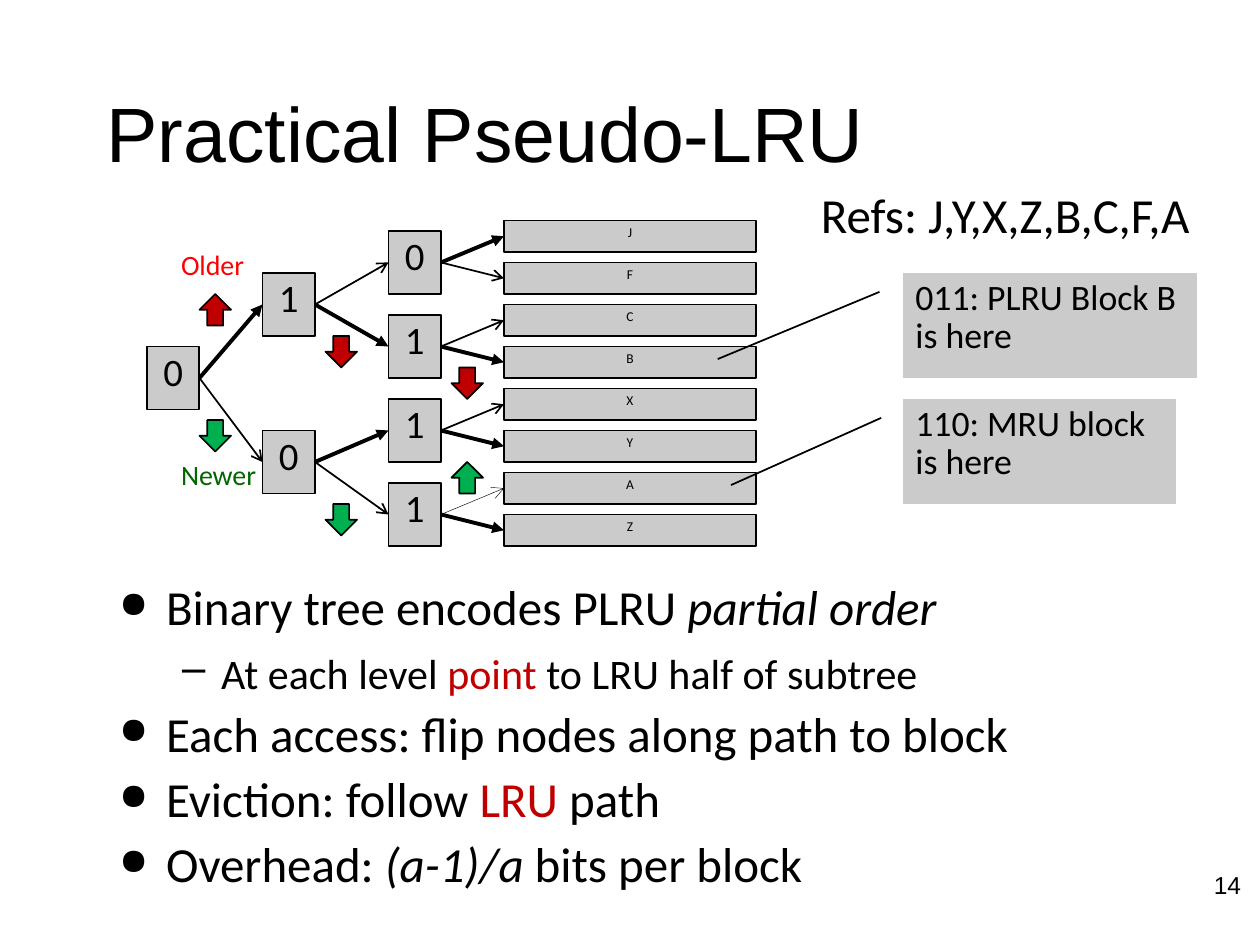
from dataclasses import dataclass

from lxml import etree
from pptx import Presentation
from pptx.dml.color import RGBColor
from pptx.enum.shapes import MSO_CONNECTOR, MSO_SHAPE
from pptx.enum.text import MSO_ANCHOR, PP_ALIGN
from pptx.oxml.ns import qn
from pptx.util import Cm, Pt

BLACK = RGBColor(0x00, 0x00, 0x00)
GREY = RGBColor(0xCB, 0xCB, 0xCB)
RED = RGBColor(0xC0, 0x00, 0x00)
BRIGHT = RGBColor(0xFF, 0x00, 0x00)
GREEN = RGBColor(0x00, 0xB0, 0x50)
DARK = RGBColor(0x00, 0x66, 0x00)

RECT = MSO_SHAPE.RECTANGLE
UP = MSO_SHAPE.UP_ARROW
DOWN = MSO_SHAPE.DOWN_ARROW
CALLOUT = MSO_SHAPE.LINE_CALLOUT_1_NO_BORDER
LINE = MSO_CONNECTOR.STRAIGHT
TOP, MIDDLE, BOTTOM = MSO_ANCHOR.TOP, MSO_ANCHOR.MIDDLE, MSO_ANCHOR.BOTTOM
LEFT, CENTER, RIGHT = PP_ALIGN.LEFT, PP_ALIGN.CENTER, PP_ALIGN.RIGHT

STEP = 2.54 / 12  # grid unit in cm
NODE_W, NODE_H = 5, 6
ROW_X, ROW_W, ROW_H = 48, 24, 3


@dataclass
class Node:
    x: float
    y: float
    bit: int


@dataclass
class Mark:
    x: float
    y: float
    kind: MSO_SHAPE
    color: RGBColor


@dataclass
class Note:
    y: float
    width: float
    text: str
    bends: tuple


@dataclass
class Label:
    """Text box, with its place and size in cm."""
    text: str
    x: float
    y: float
    w: float
    h: float
    size: float
    font: str = "Calibri"
    color: RGBColor = BLACK
    anchor: MSO_ANCHOR = TOP
    align: PP_ALIGN = LEFT
    wrap: bool = True


@dataclass
class Part:
    text: str
    color: RGBColor = BLACK
    italic: bool = False


@dataclass
class Level:
    size: int
    margin: float
    hang: float
    space: int
    lines: float
    bullet: str
    scale: int


LEVELS = [Level(28, 0.95, 0.95, 7, 0.9, "●", 75),
          Level(24, 2.06, 0.79, 6, 1.0, "–", 100)]
TREE = [
    [Node(14, 33, 0)],
    [Node(25, 26, 1), Node(25, 41, 0)],
    [Node(37, 22 + 8 * i, bit) for i, bit in enumerate((0, 1, 1, 1))],
]
BLOCKS = "JFCBXYAZ"
MARKS = [
    Mark(19, 28, UP, RED), Mark(31, 32, DOWN, RED), Mark(43, 35, DOWN, RED),
    Mark(19, 40, DOWN, GREEN), Mark(31, 48, DOWN, GREEN), Mark(43, 44, UP, GREEN),
]
NOTES = [
    Note(26, 28, "011: PLRU Block B is here", (0.18, -0.08, 0.82, -0.63)),
    Note(38, 26, "110: MRU block is here", (0.18, -0.08, 0.82, -0.63)),
]
LABELS = [
    Label("Practical Pseudo-LRU", 1.9, 1.7, 22.45, 1.9, 44, "Arial", anchor=MIDDLE),
    Label("Refs: J,Y,X,Z,B,C,F,A", 16.3, 3.6, 8.47, 1.45, 28),
    Label("Older", 3.4, 4.87, 1.78, 0.94, 16, color=BRIGHT, wrap=False),
    Label("Newer", 3.4, 9.1, 2.04, 0.94, 16, color=DARK, wrap=False),
    Label("14", 19.99, 17.07, 5.28, 1.06, 14, "Arial", anchor=BOTTOM, align=RIGHT),
]
BODY = [
    (0, [Part("Binary tree encodes PLRU "), Part("partial order", italic=True)]),
    (1, [Part("At each level "), Part("point", RED), Part(" to LRU half of subtree")]),
    (0, [Part("Each access: flip nodes along path to block")]),
    (0, [Part("Eviction: follow "), Part("LRU", RED), Part(" path")]),
    (0, [Part("Overhead: "), Part("(a-1)/a ", italic=True), Part("bits per block")]),
]


def grid(n: float) -> Cm:
    return Cm(n * STEP)


def style(run, size: float, color: RGBColor = BLACK, name: str = "Calibri") -> None:
    run.font.size, run.font.name = Pt(size), name
    run.font.color.rgb = color


def draw_shape(slide, kind: MSO_SHAPE, x: float, y: float, w: float, h: float,
               fill: RGBColor = GREY):
    shape = slide.shapes.add_shape(kind, grid(x), grid(y), grid(w), grid(h))
    shape.shadow.inherit = False
    shape.fill.solid()
    shape.fill.fore_color.rgb = fill
    shape.line.color.rgb = BLACK
    shape.line.width = Pt(1)
    return shape


def write(shape, text: str, size: float, lines: float, align: PP_ALIGN) -> None:
    frame = shape.text_frame
    frame.text = text
    frame.vertical_anchor = TOP
    par = frame.paragraphs[0]
    par.alignment, par.line_spacing = align, lines
    style(par.runs[0], size)


def draw_edge(slide, node: Node, x: float, y: float, width: float, head: str) -> None:
    """Draw an arrow from the right side of a node to a point."""
    edge = slide.shapes.add_connector(
        LINE, grid(node.x + NODE_W), grid(node.y + NODE_H / 2), grid(x), grid(y))
    edge.line.color.rgb = BLACK
    edge.line.width = Pt(width)
    etree.SubElement(edge.line._get_or_add_ln(), qn("a:tailEnd"), type=head)
    etree.SubElement(edge._element.spPr, qn("a:effectLst"))


def draw_tree(slide) -> None:
    """Draw nodes, blocks and edges; each bit picks the bold edge."""
    rows = [(ROW_X, 21 + 4 * i) for i in range(len(BLOCKS))]
    for (x, y), name in zip(rows, BLOCKS):
        write(draw_shape(slide, RECT, x, y, ROW_W, ROW_H), name, 7.7, 0.8, CENTER)
    ends = [[(n.x, n.y + NODE_H / 2) for n in level] for level in TREE[1:]]
    ends.append([(x, y + ROW_H / 2) for x, y in rows])
    for level, goals in zip(TREE, ends):
        for i, node in enumerate(level):
            box = draw_shape(slide, RECT, node.x, node.y, NODE_W, NODE_H)
            write(box, str(node.bit), 22.2, 0.9, CENTER)
            for side in (0, 1):
                bold = side == node.bit
                thin = 0.25 if node is TREE[-1][-1] else 1
                draw_edge(slide, node, *goals[2 * i + side],
                          2.25 if bold else thin, "triangle" if bold else "arrow")


def draw_note(slide, note: Note) -> None:
    shape = draw_shape(slide, CALLOUT, 86, note.y, note.width, 10)
    for i, bend in enumerate(note.bends):
        shape.adjustments[i] = bend
    write(shape, note.text, 20.4, 0.9, LEFT)


def draw_label(slide, label: Label) -> None:
    box = slide.shapes.add_textbox(Cm(label.x), Cm(label.y), Cm(label.w), Cm(label.h))
    frame = box.text_frame
    frame.text = label.text
    frame.word_wrap, frame.vertical_anchor = label.wrap, label.anchor
    if label.anchor == BOTTOM:
        frame.margin_top = frame.margin_bottom = 0
    par = frame.paragraphs[0]
    par.alignment = label.align
    style(par.runs[0], label.size, label.color, label.font)


def add_bullet(par, level: Level) -> None:
    props = par._p.get_or_add_pPr()
    props.set("marL", str(Cm(level.margin)))
    props.set("indent", str(-Cm(level.hang)))
    color = etree.SubElement(props, qn("a:buClr"))
    etree.SubElement(color, qn("a:srgbClr"), val=str(BLACK))
    etree.SubElement(props, qn("a:buSzPct"), val=str(level.scale * 1000))
    etree.SubElement(props, qn("a:buChar"), char=level.bullet)


def draw_body(slide) -> None:
    frame = slide.shapes.add_textbox(Cm(1.9), Cm(11.64), Cm(21.6), Cm(6.77)).text_frame
    frame.word_wrap = True
    frame.margin_left = frame.margin_right = Cm(0.5)
    for i, (depth, parts) in enumerate(BODY):
        par = frame.add_paragraph() if i else frame.paragraphs[0]
        level = LEVELS[depth]
        par.level = depth
        add_bullet(par, level)
        par.line_spacing = level.lines
        par.space_before = Pt(level.space if i else 0)
        for part in parts:
            run = par.add_run()
            run.text = part.text
            run.font.italic = part.italic
            style(run, level.size, part.color)


def main() -> None:
    deck = Presentation()
    deck.slide_width, deck.slide_height = Cm(25.4), Cm(19.05)
    slide = deck.slides.add_slide(deck.slide_layouts[6])
    draw_body(slide)
    draw_tree(slide)
    for note in NOTES:
        draw_note(slide, note)
    for mark in MARKS:
        draw_shape(slide, mark.kind, mark.x, mark.y, 3, 3, mark.color)
    for label in LABELS:
        draw_label(slide, label)
    deck.save("out.pptx")


if __name__ == "__main__":
    main()
